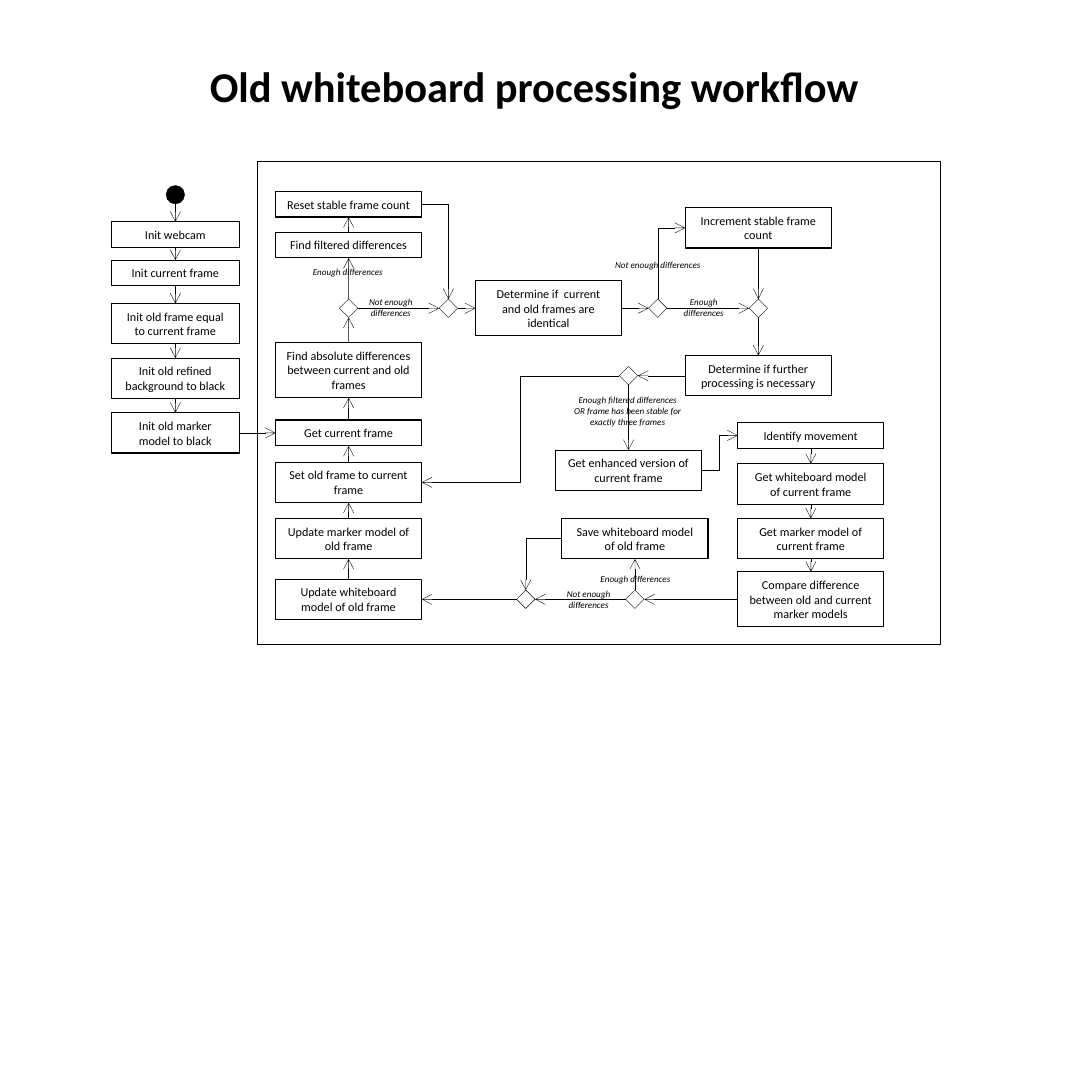
"""Build the whiteboard workflow slide as an activity diagram."""
from itertools import pairwise

from lxml.etree import SubElement
from pptx import Presentation
from pptx.dml.color import RGBColor
from pptx.enum.shapes import MSO_CONNECTOR, MSO_SHAPE
from pptx.enum.text import MSO_ANCHOR, MSO_AUTO_SIZE, PP_ALIGN
from pptx.oxml.ns import qn
from pptx.util import Cm, Pt

COLORS = {"ink": "000000", "paper": "FFFFFF"}
TOP, LEFT, BOTTOM, RIGHT = range(4)


class Diagram:
    """Hold the style and the current slide; positions are centres in cm."""

    font = "Calibri"
    thin, normal = 0.25, 0.75

    def __init__(self, s):
        self.s = s

    def color(self, name):
        return RGBColor.from_string(COLORS[name])

    def set_text(self, sp, text, size, bold=False, italic=False):
        tf = sp.text_frame
        tf.text = text
        tf.word_wrap = True
        tf.vertical_anchor = MSO_ANCHOR.MIDDLE
        p = tf.paragraphs[0]
        p.alignment = PP_ALIGN.CENTER
        p.font.name, p.font.size = self.font, Pt(size)
        p.font.bold, p.font.italic = bold, italic
        p.font.color.rgb = self.color("ink")
        return tf

    def title(self, text, x, y, w, h):
        sp = self.s.shapes.title
        sp.left, sp.top, sp.width, sp.height = Cm(x), Cm(y), Cm(w), Cm(h)
        self.set_text(sp, text, 28, bold=True).auto_size = MSO_AUTO_SIZE.NONE

    def shape(self, kind, x, y, w, h, fill=None, line=thin):
        sp = self.s.shapes.add_shape(kind, Cm(x - w / 2), Cm(y - h / 2), Cm(w), Cm(h))
        sp.shadow.inherit = False
        if fill:
            sp.fill.solid()
            sp.fill.fore_color.rgb = self.color(fill)
        else:
            sp.fill.background()
        sp.line.color.rgb = self.color("ink")
        sp.line.width = Pt(line)
        return sp

    def box(self, text, lines, x, y, w=3.4):
        sp = self.shape(MSO_SHAPE.RECTANGLE, x, y, w, 0.26 + 0.34 * lines, line=self.normal)
        self.set_text(sp, text, 8).auto_size = MSO_AUTO_SIZE.SHAPE_TO_FIT_TEXT
        return sp

    def column(self, x, steps, w=3.4):
        return [self.box(text, lines, x, y, w) for text, lines, y in steps]

    def diamond(self, x, y):
        return self.shape(MSO_SHAPE.DIAMOND, x, y, 0.43, 0.43, "paper")

    def label(self, text, lines, x, y, w):
        h = 0.25 + 0.26 * lines
        sp = self.s.shapes.add_textbox(Cm(x - w / 2), Cm(y - h / 2), Cm(w), Cm(h))
        self.set_text(sp, text, 6, italic=True).auto_size = MSO_AUTO_SIZE.SHAPE_TO_FIT_TEXT

    def link(self, start, out, end, into, bent=False):
        kind = MSO_CONNECTOR.ELBOW if bent else MSO_CONNECTOR.STRAIGHT
        c = self.s.shapes.add_connector(kind, 0, 0, 0, 0)
        c.begin_connect(start, out)
        c.end_connect(end, into)
        c.line.color.rgb = self.color("ink")
        c.line.width = Pt(self.thin)
        spPr = c._element.spPr
        SubElement(spPr.find(qn("a:ln")), qn("a:tailEnd"), type="arrow")
        SubElement(spPr, qn("a:effectLst"))
        if bent and (out + into) % 2:
            spPr.find(qn("a:prstGeom")).set("prst", "bentConnector2")
            if out == TOP:
                self.turn_up(c)
        return c

    def turn_up(self, c):
        w, h = c.width, c.height
        c.left, c.top = c.left + (w - h) // 2, c.top + (h - w) // 2
        c.width, c.height = h, w
        xfrm = c._element.spPr.xfrm
        xfrm.flipH = xfrm.flipV = False
        xfrm.rot = 270

    def chain(self, shapes, out, into):
        for start, end in pairwise(shapes):
            self.link(start, out, end, into)


prs = Presentation()
prs.slide_width = prs.slide_height = Cm(25.4)
d = Diagram(prs.slides.add_slide(prs.slide_layouts[5]))
d.title("Old whiteboard processing workflow", 4.06, 1.27, 16.72, 1.45)

d.shape(MSO_SHAPE.RECTANGLE, 13.93, 9.37, 15.88, 11.23, "paper")
initial = d.shape(MSO_SHAPE.OVAL, 4.08, 4.53, 0.43, 0.43, "ink")
init = d.column(4.08, [
    ("Init webcam", 1, 5.46),
    ("Init current frame", 1, 6.35),
    ("Init old frame equal to current frame", 2, 7.53),
    ("Init old refined background to black", 2, 8.8),
    ("Init old marker model to black", 2, 10.07),
], w=2.97)
update = d.column(8.11, [
    ("Update whiteboard model of old frame", 2, 13.94),
    ("Update marker model of old frame", 2, 12.53),
    ("Set old frame to current frame", 2, 11.22),
    ("Get current frame", 1, 10.07),
    ("Find absolute differences between current and old frames", 3, 8.61),
])
filtered, reset = d.column(8.11, [
    ("Find filtered differences", 1, 5.7),
    ("Reset stable frame count", 1, 4.75),
])
increment, further = d.column(17.64, [
    ("Increment stable frame count", 2, 5.3),
    ("Determine if further processing is necessary", 2, 8.74),
])
compare = d.column(18.86, [
    ("Identify movement", 1, 10.13),
    ("Get whiteboard model of current frame", 2, 11.26),
    ("Get marker model of current frame", 2, 12.53),
    ("Compare difference between old and current marker models", 3, 13.94),
])
identical = d.box("Determine if  current and old frames are identical", 3, 12.76, 7.17)
enhanced = d.box("Get enhanced version of current frame", 2, 14.62, 10.94)
save = d.box("Save whiteboard model of old frame", 2, 14.77, 12.53)

differ, merge, same, stable = [d.diamond(x, 7.17) for x in (8.11, 10.43, 15.3, 17.64)]
process = d.diamond(14.62, 8.74)
changed, saved = [d.diamond(x, 13.94) for x in (14.77, 12.23)]

first = d.link(initial, BOTTOM, init[0], TOP)
first.begin_x, first.begin_y = Cm(4.08), initial.top + initial.height
first._element.nvCxnSpPr.cNvCxnSpPr.stCxn.idx = 4
d.chain(init, BOTTOM, TOP)
d.link(init[-1], RIGHT, update[3], LEFT)
d.chain(update + [differ, filtered, reset], TOP, BOTTOM)
d.chain([differ, merge, identical, same, stable], RIGHT, LEFT)
d.chain([increment, stable, further], BOTTOM, TOP)
d.link(further, LEFT, process, RIGHT)
d.link(process, BOTTOM, enhanced, TOP)
d.chain(compare, BOTTOM, TOP)
d.chain([compare[-1], changed, saved, update[0]], LEFT, RIGHT)
d.link(changed, TOP, save, BOTTOM)
for start, out, end, into in [
    (reset, RIGHT, merge, TOP),
    (same, TOP, increment, LEFT),
    (process, LEFT, update[2], RIGHT),
    (enhanced, RIGHT, compare[0], LEFT),
    (save, LEFT, saved, TOP),
]:
    d.link(start, out, end, into, bent=True)

for text, lines, x, y, w in [
    ("Not enough differences", 2, 9.09, 7.16, 1.98),
    ("Enough differences", 1, 8.09, 6.32, 3.4),
    ("Not enough differences", 1, 15.3, 6.17, 2.67),
    ("Enough differences", 2, 16.37, 7.16, 1.7),
    ("Enough differences", 1, 14.78, 13.46, 2.44),
    ("Not enough differences", 2, 13.69, 13.94, 1.98),
    ("Enough filtered differences OR frame has been stable for exactly three frames",
     3, 14.6, 9.55, 3),
]:
    d.label(text, lines, x, y, w)

prs.save("out.pptx")
